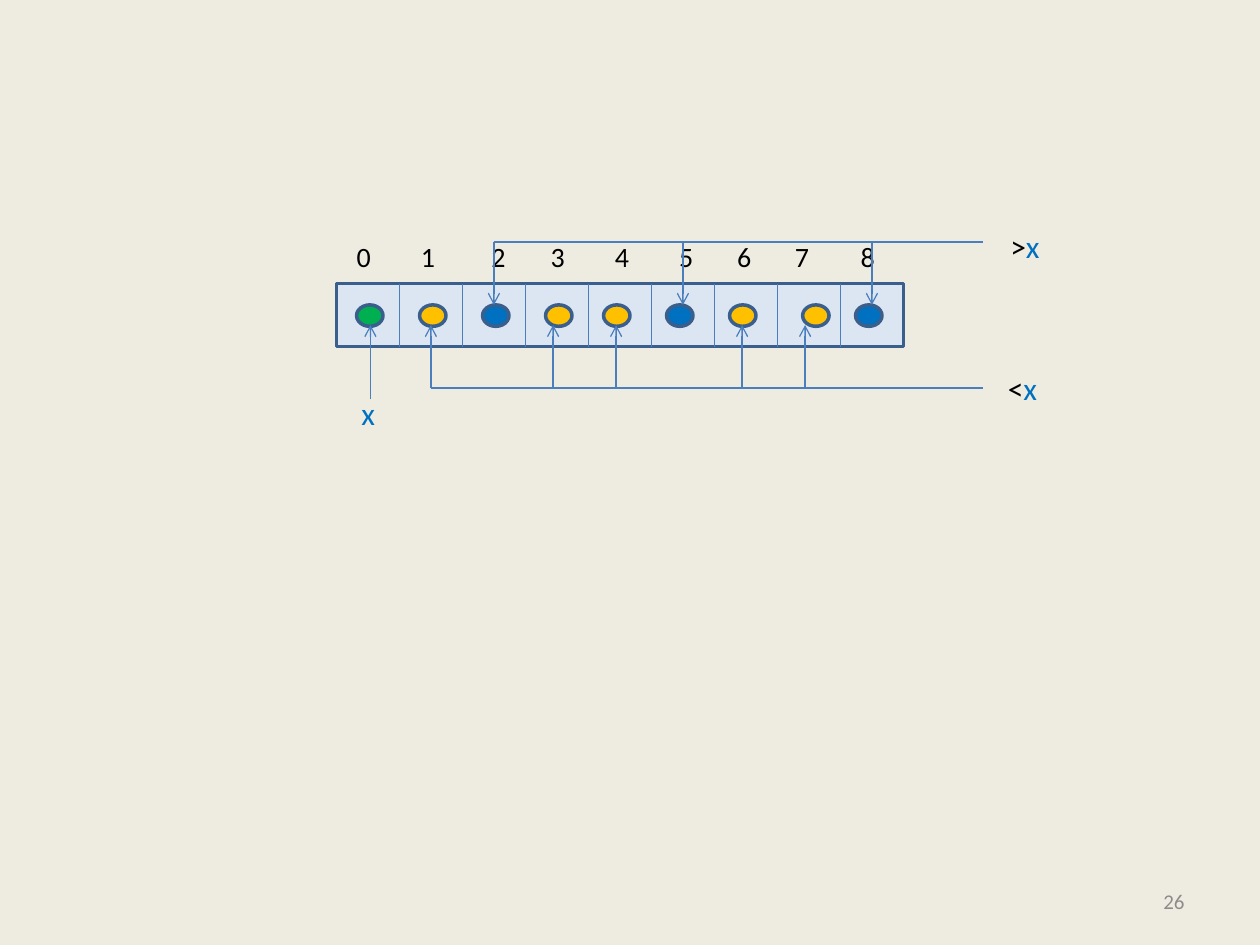
from pptx import Presentation
from pptx.dml.color import RGBColor
from pptx.enum.shapes import MSO_CONNECTOR, MSO_SHAPE
from pptx.enum.text import MSO_ANCHOR, PP_ALIGN
from pptx.oxml.ns import qn
from pptx.util import Inches, Pt
from lxml.etree import SubElement

BACKGROUND = RGBColor(0xEE, 0xEC, 0xE1)
CELL_FILL = RGBColor(0xDC, 0xE6, 0xF2)
OUTLINE = RGBColor(0x3A, 0x5F, 0x8C)
LINE = RGBColor(0x4B, 0x7E, 0xBC)
BLACK = RGBColor(0, 0, 0)
GRAY = RGBColor(0x8C, 0x8C, 0x8C)
GREEN = RGBColor(0x00, 0xB0, 0x50)
YELLOW = RGBColor(0xFF, 0xC0, 0x00)
BLUE = RGBColor(0x00, 0x70, 0xC0)

ARRAY_LEFT, ARRAY_TOP, CELL, CELL_COUNT = 2.67, 2.25, 0.5, 9
DOT_TOP, DOT_BOTTOM, DOT_WIDTH = 2.42, 2.58, 0.21
DOTS = [(2.83, GREEN), (3.33, YELLOW), (3.83, BLUE), (4.33, YELLOW), (4.79, YELLOW),
        (5.29, BLUE), (5.79, YELLOW), (6.37, YELLOW), (6.79, BLUE)]
INDEX_TABS = [0.51, 1.07, 1.54, 2.05, 2.56, 3.02, 3.48, 4.0]
PIVOT_X, PIVOT_START = 2.94, 3.17
SMALLER_XS, SMALLER_Y = [3.42, 4.39, 4.89, 5.89, 6.39], 3.08
LARGER_XS, LARGER_Y = [3.92, 5.42, 6.92], 1.92
BRACKET_RIGHT = 7.8


def add_filled_shape(page, kind, left, top, width, height, fill):
    shape = page.shapes.add_shape(kind, Inches(left), Inches(top), Inches(width), Inches(height))
    shape.shadow.inherit = False
    shape.fill.solid()
    shape.fill.fore_color.rgb = fill
    shape.line.color.rgb = OUTLINE
    shape.line.width = Pt(2)


def add_line(page, x1, y1, x2, y2, arrow=False):
    line = page.shapes.add_connector(
        MSO_CONNECTOR.STRAIGHT, Inches(x1), Inches(y1), Inches(x2), Inches(y2))
    line.line.color.rgb = LINE
    line.line.width = Pt(0.75)
    if arrow:
        SubElement(line.line._get_or_add_ln(), qn("a:tailEnd"), type="arrow")
    SubElement(line._element.spPr, qn("a:effectLst"))


def add_text(page, left, top, width, spans, size=18, wrap=False):
    """Add a one-line text box; spans are (text, colour) pairs."""
    box = page.shapes.add_textbox(Inches(left), Inches(top), Inches(width), Inches(0.4))
    box.text_frame.word_wrap = wrap
    para = box.text_frame.paragraphs[0]
    for text, color in spans:
        span = para.add_run()
        span.text = text
        span.font.name = "Calibri"
        span.font.size = Pt(size)
        span.font.color.rgb = color
    return box


def add_array(page):
    add_filled_shape(page, MSO_SHAPE.RECTANGLE, ARRAY_LEFT, ARRAY_TOP,
                     CELL * CELL_COUNT, CELL, CELL_FILL)
    for index in range(1, CELL_COUNT):
        x = ARRAY_LEFT + index * CELL
        add_line(page, x, ARRAY_TOP, x, ARRAY_TOP + CELL)


def add_indices(page):
    digits = "\t".join(str(index) for index in range(CELL_COUNT))
    box = add_text(page, ARRAY_LEFT, 1.83, 4.44, [(digits, BLACK)], size=16, wrap=True)
    box.text_frame.margin_left = Inches(0.16)
    box.text_frame.margin_top = Inches(0.07)
    properties = box.text_frame.paragraphs[0]._p.get_or_add_pPr()
    tabs = SubElement(properties, qn("a:tabLst"))
    for position in INDEX_TABS:
        SubElement(tabs, qn("a:tab"), pos=str(Inches(position)), algn="l")


def add_bracket(page, xs, y, target):
    """Add a horizontal line with an arrow from it to the dots at each x."""
    add_line(page, xs[0], y, BRACKET_RIGHT, y)
    for x in xs:
        add_line(page, x, y, x, target, arrow=True)


def add_page_number(page):
    box = add_text(page, 7.17, 6.95, 2.33, [("26", GRAY)], size=12, wrap=True)
    box.text_frame.vertical_anchor = MSO_ANCHOR.MIDDLE
    box.text_frame.paragraphs[0].alignment = PP_ALIGN.RIGHT


def main():
    deck = Presentation()
    deck.slide_width, deck.slide_height = Inches(10), Inches(7.5)
    page = deck.slides.add_slide(deck.slide_layouts[6])
    page.background.fill.solid()
    page.background.fill.fore_color.rgb = BACKGROUND

    add_array(page)
    add_indices(page)
    add_page_number(page)
    for left, color in DOTS:
        add_filled_shape(page, MSO_SHAPE.OVAL, left, DOT_TOP, DOT_WIDTH, 0.17, color)

    add_line(page, PIVOT_X, PIVOT_START, PIVOT_X, DOT_BOTTOM, arrow=True)
    add_text(page, 2.77, 3.08, 0.31, [("x", BLUE)])
    add_bracket(page, SMALLER_XS, SMALLER_Y, DOT_BOTTOM)
    add_text(page, 7.9, 2.88, 0.44, [("<", BLACK), ("x", BLUE)])
    add_bracket(page, LARGER_XS, LARGER_Y, DOT_TOP)
    add_text(page, 7.92, 1.75, 0.44, [(">", BLACK), ("x", BLUE)])
    deck.save("out.pptx")


if __name__ == "__main__":
    main()
